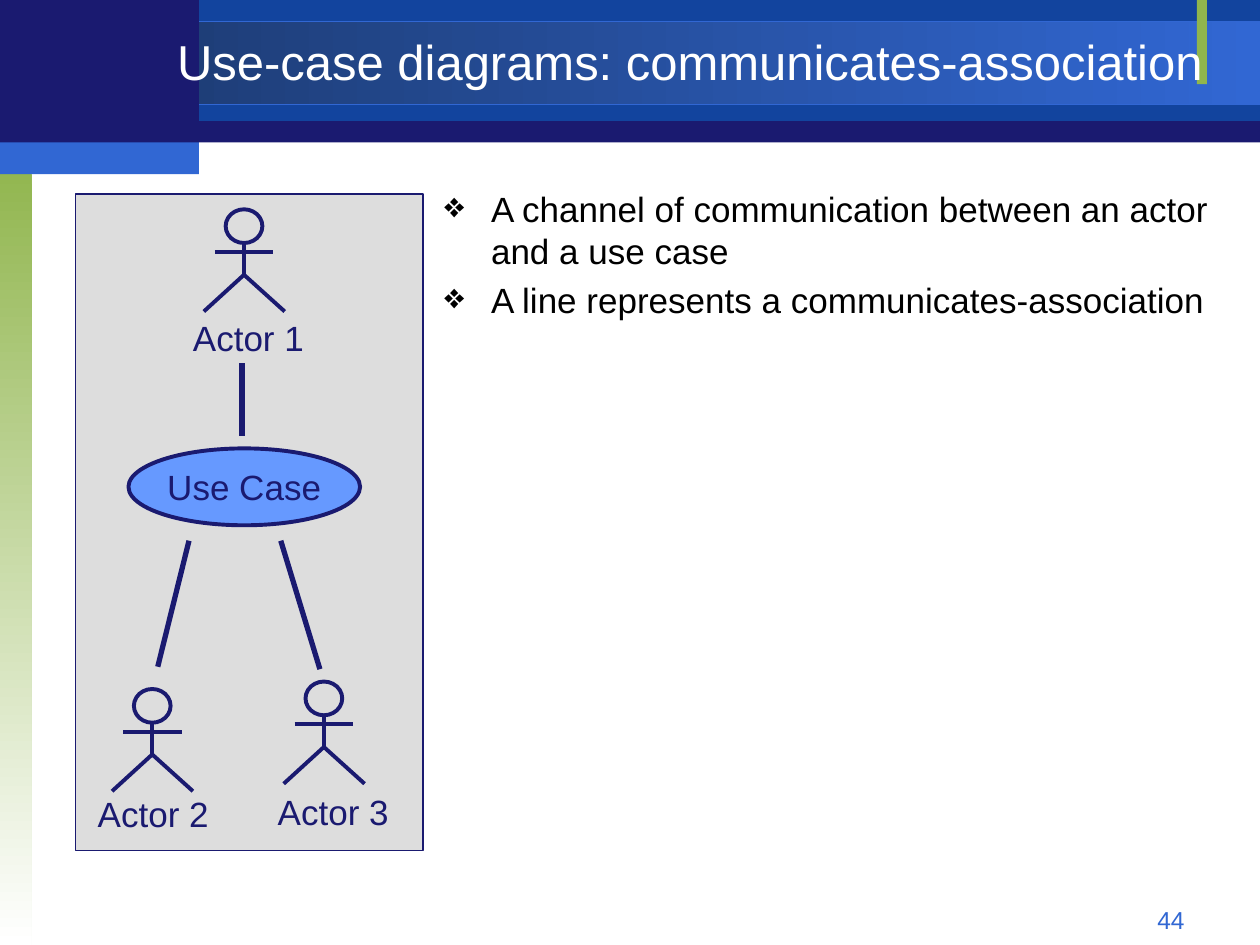
from lxml import etree
from pptx import Presentation
from pptx.dml.color import RGBColor
from pptx.enum.shapes import MSO_CONNECTOR, MSO_SHAPE
from pptx.enum.text import MSO_ANCHOR, PP_ALIGN
from pptx.oxml.ns import qn
from pptx.util import Cm, Pt

RECT, OVAL, LINE = MSO_SHAPE.RECTANGLE, MSO_SHAPE.OVAL, MSO_CONNECTOR.STRAIGHT
LEFT, CENTER, RIGHT = PP_ALIGN.LEFT, PP_ALIGN.CENTER, PP_ALIGN.RIGHT
TOP, MIDDLE = MSO_ANCHOR.TOP, MSO_ANCHOR.MIDDLE

NAVY = RGBColor(0x1A, 0x1A, 0x70)
BLUE = RGBColor(0x12, 0x44, 0x9E)
DEEP = RGBColor(0x1B, 0x37, 0x68)
BRIGHT = RGBColor(0x31, 0x67, 0xD3)
SKY = RGBColor(0x66, 0x99, 0xFF)
GREEN = RGBColor(0x90, 0xB5, 0x4D)
GREY = RGBColor(0xDD, 0xDD, 0xDD)
WHITE = RGBColor(0xFF, 0xFF, 0xFF)
BLACK = RGBColor(0, 0, 0)


def set_text(sp, lines, size=20, color=NAVY, align=CENTER, anchor=TOP,
             wrap=True, bullet=None, indent=0, space=0):
    """Fill a shape with formatted paragraphs."""
    tf = sp.text_frame
    tf.word_wrap = wrap
    tf.vertical_anchor = anchor
    for i, line in enumerate(lines):
        p = tf.paragraphs[0] if i == 0 else tf.add_paragraph()
        p.alignment = align
        p.space_before = Pt(space if i else 0)
        if bullet:
            pPr = p._p.get_or_add_pPr()
            pPr.set("marL", str(Cm(indent)))
            pPr.set("indent", str(-Cm(indent)))
            etree.SubElement(pPr, qn("a:buChar")).set("char", bullet)
        r = p.add_run()
        r.text = line
        r.font.name = "Arial"
        r.font.size = Pt(size)
        r.font.color.rgb = color


def add_text(shapes, box, lines, **fmt):
    """Add a text box."""
    sp = shapes.add_textbox(*map(Cm, box))
    set_text(sp, lines, **fmt)
    return sp


def style(sp, fill=None, line=None, width=0.75):
    """Set fill (none, a colour or a pair for a gradient) and outline."""
    sp.shadow.inherit = False
    if fill is None:
        sp.fill.background()
    elif isinstance(fill, RGBColor):
        sp.fill.solid()
        sp.fill.fore_color.rgb = fill
    else:
        sp.fill.gradient()
        for stop, color in zip(sp.fill.gradient_stops, fill):
            stop.color.rgb = color
    if line is None:
        sp.line.fill.background()
    else:
        sp.line.color.rgb = line
        sp.line.width = Pt(width)


def add_shape(shapes, kind, box, **fmt):
    """Add a styled preset shape."""
    sp = shapes.add_shape(kind, *map(Cm, box))
    style(sp, **fmt)
    return sp


def add_line(shapes, x1, y1, x2, y2, width):
    """Add a straight navy line."""
    sp = shapes.add_connector(LINE, Cm(x1), Cm(y1), Cm(x2), Cm(y2))
    sp.line.color.rgb = NAVY
    sp.line.width = Pt(width)
    etree.SubElement(sp._element.spPr, qn("a:effectLst"))


def add_frame(shapes, width, height):
    """Draw the header bands and the side strip across the slide."""
    corner = 4.01
    add_shape(shapes, RECT, (0, 0.03, width, 2.84), fill=NAVY)
    add_shape(shapes, RECT, (corner, 0, width - corner, 2.44), fill=BLUE)
    band = add_shape(shapes, RECT, (0, 0.43, width, 1.68),
                     fill=(DEEP, BRIGHT), line=BRIGHT)
    band.fill.gradient_angle = 0
    strip = add_shape(shapes, RECT, (0, 3.18, 0.64, height - 3.18),
                      fill=(GREEN, WHITE))
    strip.fill.gradient_angle = 270
    add_shape(shapes, RECT, (24.13, 0, 0.2, 1.7), fill=GREEN)
    add_shape(shapes, RECT, (0, 0, corner, 2.97), fill=NAVY)
    add_shape(shapes, RECT, (0, 2.87, corner, 0.64), fill=BRIGHT)


def add_title(s, box, text):
    """Place the title placeholder in front of the header bands."""
    sp = s.shapes.title
    sp.left, sp.top, sp.width, sp.height = map(Cm, box)
    set_text(sp, [text], size=28, color=WHITE, anchor=MIDDLE)
    s.shapes._spTree.append(sp._element)


def add_actor(shapes, x, y):
    """Draw a stick figure, 1.63 cm wide, with its top left at x, y."""
    g = shapes.add_group_shape().shapes
    mid, hip, foot = x + 0.81, y + 1.32, y + 2.06
    add_shape(g, OVAL, (mid - 0.37, y, 0.74, 0.68), line=NAVY, width=2.25)
    add_line(g, mid, y + 0.68, mid, hip, 2.25)
    add_line(g, mid - 0.59, y + 0.86, mid + 0.59, y + 0.86, 2.25)
    legs = g.build_freeform(Cm(x), Cm(foot))
    legs.add_line_segments([(Cm(mid), Cm(hip)), (Cm(x + 1.63), Cm(foot))],
                           close=False)
    style(legs.convert_to_shape(), line=NAVY, width=2.25)


def add_diagram(shapes, x, y, width, height):
    """Draw the use case, its three actors and the lines between them."""
    add_shape(shapes, RECT, (x, y, width, height), fill=GREY, line=NAVY)
    actors = [("Actor 1", 2.59, 0.31, 3.49, 2.34),
              ("Actor 2", 0.74, 9.98, 1.57, 11.94),
              ("Actor 3", 4.2, 9.83, 5.2, 11.91)]
    for name, fx, fy, label_mid, label_top in actors:
        add_actor(shapes, x + fx, y + fy)
        add_text(shapes, (x + label_mid - 2.1, y + label_top, 4.2, 1.09), [name])
    oval = add_shape(shapes, OVAL, (x + 1.07, y + 5.13, 4.67, 1.55),
                     fill=SKY, line=NAVY, width=2.25)
    set_text(oval, ["Use Case"], anchor=MIDDLE, wrap=False)
    links = [(3.36, 3.41, 3.36, 4.88), (2.29, 6.99, 1.66, 9.53),
             (4.14, 6.99, 4.93, 9.58)]
    for x1, y1, x2, y2 in links:
        add_line(shapes, x + x1, y + y1, x + x2, y + y2, 3)


def main():
    """Build and save the slide."""
    width, height = 25.4, 19.05
    prs = Presentation()
    prs.slide_width, prs.slide_height = Cm(width), Cm(height)
    s = prs.slides.add_slide(prs.slide_layouts[5])
    add_frame(s.shapes, width, height)
    add_title(s, (2.92, 0.53, 21.97, 1.4),
              "Use-case diagrams: communicates-association")
    add_text(s.shapes, (8.71, 3.66, 16.18, 13.28),
             ["A channel of communication between an actor and a use case",
              "A line represents a communicates-association"],
             color=BLACK, align=LEFT, bullet="❖", indent=0.94, space=4)
    add_diagram(s.shapes, 1.52, 3.91, 7.01, 13.23)
    add_text(s.shapes, (18.21, 18.11, 5.92, 0.69), ["44"],
             size=14, color=BRIGHT, align=RIGHT)
    prs.save("out.pptx")


if __name__ == "__main__":
    main()
